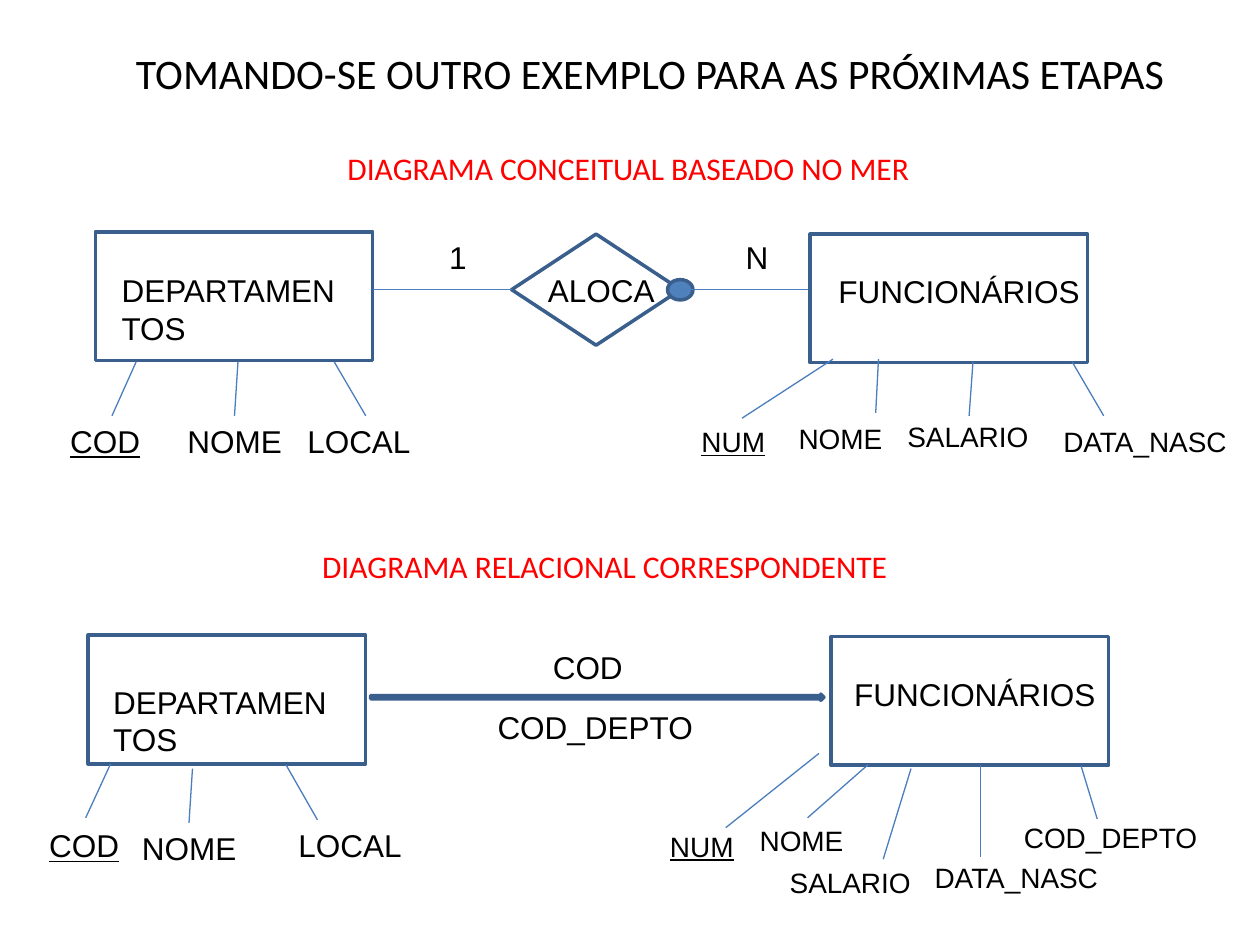
from dataclasses import dataclass
from typing import Any, Optional

import lxml.etree
import pptx
import pptx.dml.color
import pptx.enum.shapes
import pptx.enum.text
import pptx.oxml.ns
import pptx.util

Shapes = pptx.enum.shapes.MSO_SHAPE
COLORS = {
    "text": "000000",
    "heading": "FF0000",
    "outline": "3A5F8C",
    "connector": "4B7EBC",
    "fill": "4F81BD",
}
ENTITY_WIDTH, ENTITY_HEIGHT = 158.5, 73.5


@dataclass
class Figure:
    kind: Any
    left: float
    top: float
    width: float = ENTITY_WIDTH
    height: float = ENTITY_HEIGHT
    fill: Optional[str] = None


@dataclass
class Label:
    text: str
    left: float
    top: float
    width: float
    size: int = 18
    underline: bool = False
    font: str = "Arial"
    color: str = "text"


@dataclass
class Link:
    start_x: float
    start_y: float
    end_x: float
    end_y: float


TITLE = Label("TOMANDO-SE OUTRO EXEMPLO PARA AS PRÓXIMAS ETAPAS", 70.5, 23.8, 619, 24, font="Calibri")

FIGURES = [
    Figure(Shapes.RECTANGLE, 50.4, 363),
    Figure(Shapes.RECTANGLE, 475, 363.8),
    Figure(Shapes.RECTANGLE, 54.5, 132.5),
    Figure(Shapes.RECTANGLE, 463, 133.8),
    Figure(Shapes.DIAMOND, 292.4, 133.8, 96.5, 63.5),
    Figure(Shapes.FLOWCHART_CONNECTOR, 381.5, 159.8, 14.5, 11.6, "fill"),
    Figure(Shapes.RIGHT_ARROW, 211.8, 396.6, 259, 3.6, "fill"),
]

CONCEPTUAL_LINKS = [
    Link(389, 165.6, 461.5, 165.6),
    Link(292.4, 165.6, 213, 165.6),
    Link(77.8, 206.8, 64, 237.6),
    Link(136, 206.8, 134, 237.6),
    Link(191, 206.8, 209, 237.6),
    Link(476, 205.2, 424, 239),
    Link(502, 205.2, 500.4, 236),
    Link(556, 206.8, 553.8, 237.6),
    Link(612.7, 206.8, 630.7, 237.6),
]
RELATIONAL_LINKS = [
    Link(63.2, 436.5, 49, 467.3),
    Link(110, 439.2, 108, 470.2),
    Link(163.4, 437, 181.4, 468.5),
    Link(468, 430.5, 414.7, 473),
    Link(496, 437, 461.5, 467.3),
    Link(520.6, 439.2, 504.7, 491),
    Link(560.2, 437, 560.2, 489.6),
    Link(617.8, 437.8, 627, 468),
]

CONCEPTUAL_LABELS = [
    Label("DIAGRAMA CONCEITUAL BASEADO NO MER", 191.5, 81.5, 340, font="Calibri", color="heading"),
    Label("DEPARTAMENTOS", 62.4, 151.2, 145.4),
    Label("FUNCIONÁRIOS", 472, 152, 158.4),
    Label("ALOCA", 306, 151.2, 113),
    Label("1", 249.6, 132.5, 32),
    Label("N", 419, 132.5, 57),
    Label("COD", 33, 237.6, 61, underline=True),
    Label("NOME", 100, 237.6, 70),
    Label("LOCAL", 168.5, 237.6, 84),
    Label("NUM", 393.8, 239, 61, 16, True),
    Label("NOME", 449.2, 237.6, 68.4, 16),
    Label("SALARIO", 511.4, 236, 90, 16),
    Label("DATA_NASC", 600.5, 239, 115, 16),
]
RELATIONAL_LABELS = [
    Label("DIAGRAMA RELACIONAL CORRESPONDENTE", 177, 308.8, 350, font="Calibri", color="heading"),
    Label("DEPARTAMENTOS", 57.6, 386.6, 145.4),
    Label("FUNCIONÁRIOS", 481, 382.3, 158.4),
    Label("COD", 308.8, 366.5, 60),
    Label("COD_DEPTO", 277.2, 401, 129),
    Label("COD", 21, 468.7, 69, underline=True),
    Label("NOME", 74, 470.2, 68.4),
    Label("LOCAL", 163.4, 468.7, 85),
    Label("NUM", 375.8, 470.2, 61, 16, True),
    Label("NOME", 427, 467.3, 68.4, 16),
    Label("SALARIO", 444.2, 491, 91.4, 16),
    Label("DATA_NASC", 527, 488.2, 113, 16),
    Label("COD_DEPTO", 578, 465.1, 118, 16),
]


def rgb(name: str) -> pptx.dml.color.RGBColor:
    return pptx.dml.color.RGBColor.from_string(COLORS[name])


def set_attributes(target: Any, values: dict[str, Any]) -> None:
    for name, value in values.items():
        setattr(target, name, value)


def write_label(shape: Any, label: Label) -> None:
    set_attributes(shape, {
        "left": pptx.util.Pt(label.left),
        "top": pptx.util.Pt(label.top),
        "width": pptx.util.Pt(label.width),
        "height": pptx.util.Pt(label.size * 1.2 + 7.2),
    })
    set_attributes(shape.text_frame, {
        "text": label.text,
        "word_wrap": True,
        "auto_size": pptx.enum.text.MSO_AUTO_SIZE.NONE,
        "vertical_anchor": pptx.enum.text.MSO_ANCHOR.TOP,
    })
    paragraph = shape.text_frame.paragraphs[0]
    paragraph.alignment = pptx.enum.text.PP_ALIGN.LEFT
    font = paragraph.runs[0].font
    set_attributes(font, {
        "name": label.font,
        "size": pptx.util.Pt(label.size),
        "underline": label.underline or None,
    })
    font.color.rgb = rgb(label.color)


def draw_label(slide: Any, label: Label) -> None:
    write_label(slide.shapes.add_textbox(0, 0, 0, 0), label)


def draw_figure(slide: Any, figure: Figure) -> None:
    bounds = (figure.left, figure.top, figure.width, figure.height)
    shape = slide.shapes.add_shape(figure.kind, *map(pptx.util.Pt, bounds))
    shape.shadow.inherit = False
    if figure.fill:
        shape.fill.solid()
        shape.fill.fore_color.rgb = rgb(figure.fill)
    else:
        shape.fill.background()
    shape.line.color.rgb = rgb("outline")
    shape.line.width = pptx.util.Pt(2)


def draw_link(slide: Any, link: Link) -> None:
    ends = (link.start_x, link.start_y, link.end_x, link.end_y)
    connector = slide.shapes.add_connector(
        pptx.enum.shapes.MSO_CONNECTOR.STRAIGHT, *map(pptx.util.Pt, ends))
    connector.line.color.rgb = rgb("connector")
    connector.line.width = pptx.util.Pt(0.75)
    properties = connector._element.spPr
    lxml.etree.SubElement(properties, pptx.oxml.ns.qn("a:effectLst"))


def main() -> None:
    presentation = pptx.Presentation()
    presentation.slide_width = pptx.util.Pt(720)
    presentation.slide_height = pptx.util.Pt(540)
    slide = presentation.slides.add_slide(presentation.slide_layouts[5])
    write_label(slide.shapes.title, TITLE)
    for figure in FIGURES:
        draw_figure(slide, figure)
    for link in CONCEPTUAL_LINKS + RELATIONAL_LINKS:
        draw_link(slide, link)
    for label in CONCEPTUAL_LABELS + RELATIONAL_LABELS:
        draw_label(slide, label)
    presentation.save("out.pptx")


if __name__ == "__main__":
    main()
